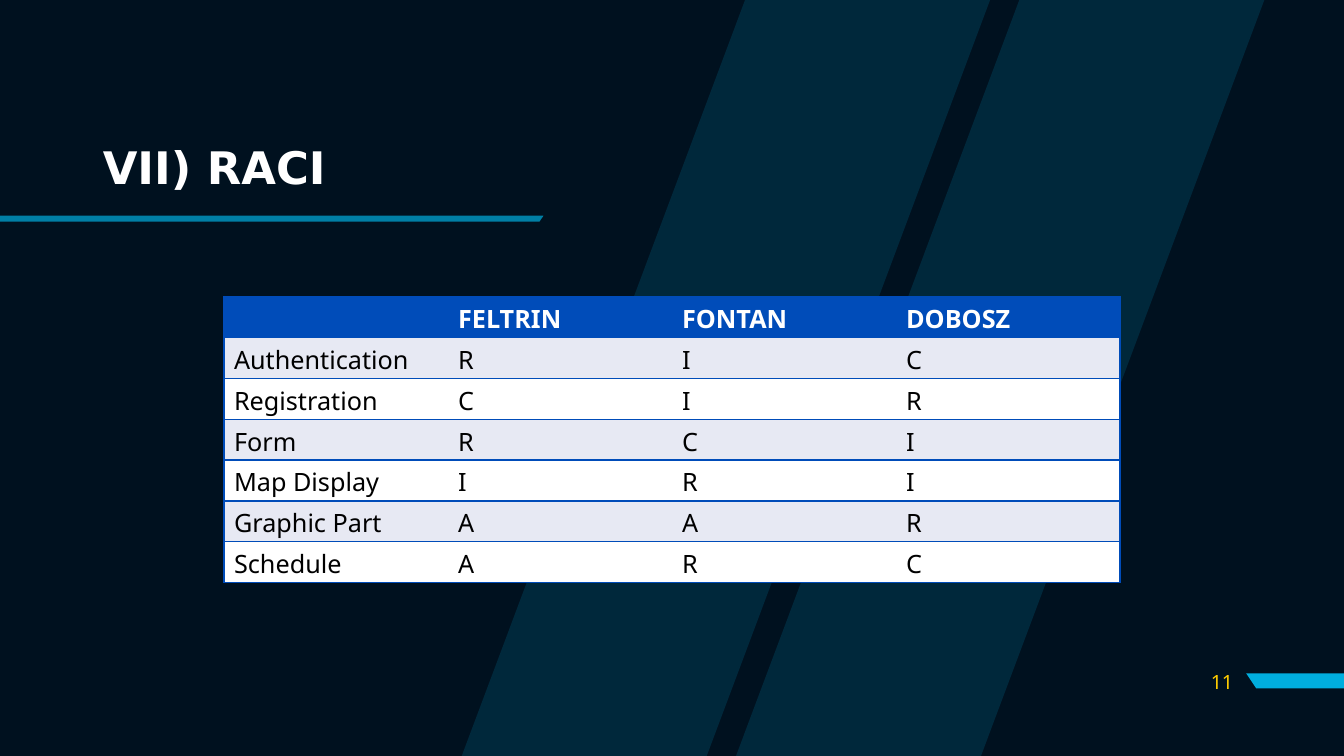
from dataclasses import dataclass

from lxml import etree
from pptx import Presentation
from pptx import util as u
from pptx.dml.color import RGBColor
from pptx.enum import text
from pptx.oxml.ns import qn

WIDTH, HEIGHT = u.Inches(13.33), u.Inches(7.5)
NAVY, CYAN, BLUE, YELLOW = "00111F", "00AEDE", "004CB9", "FFCD00"
WHITE, BLACK, BAND = "FFFFFF", "000000", "E7E9F3"
BODY_FONT, TITLE_FONT = "Noto Sans", "DejaVu Sans"

RACI = [
    ["", "FELTRIN", "FONTAN", "DOBOSZ"],
    ["Authentication", "R", "I", "C"],
    ["Registration", "C", "I", "R"],
    ["Form", "R", "C", "I"],
    ["Map Display", "I", "R", "I"],
    ["Graphic Part", "A", "A", "R"],
    ["Schedule", "A", "R", "C"],
]


@dataclass(frozen=True)
class Slant:
    """Four-sided band: left and right ends of its top and bottom edges, in inches."""
    top: float
    bottom: float
    top_ends: tuple[float, float]
    bottom_ends: tuple[float, float]
    opacity: int


SLANTS = [
    Slant(0, 7.5, (10.11, 12.54), (7.3, 9.73), 15),
    Slant(0, 7.5, (7.39, 9.82), (4.58, 7.01), 15),
    Slant(6.68, 6.83, (12.36, 13.33), (12.46, 13.33), 100),
    Slant(2.14, 2.2, (0, 5.39), (0, 5.35), 70),
]


def color(value: str) -> RGBColor:
    return RGBColor.from_string(value)


def share(left: float, top: float, width: float, height: float) -> list[int]:
    """Turn shares of the slide into lengths."""
    return [round(part * whole) for part, whole
            in zip((left, top, width, height), (WIDTH, HEIGHT) * 2)]


def apply(target, values: dict) -> None:
    for name, value in values.items():
        setattr(target, name, value)


def write(paragraph, words: str, hex_color: str, size: int,
          bold: bool = False, font: str = BODY_FONT) -> None:
    run = paragraph.add_run()
    run.text = words
    apply(run.font, {"name": font, "size": u.Pt(size), "bold": bold})
    run.font.color.rgb = color(hex_color)


def draw_slant(slide, slant: Slant) -> None:
    (top_left, top_right), (bottom_left, bottom_right) = slant.top_ends, slant.bottom_ends
    builder = slide.shapes.build_freeform(u.Inches(top_left), u.Inches(slant.top))
    builder.add_line_segments([
        (u.Inches(x), u.Inches(y)) for x, y in (
            (top_right, slant.top), (bottom_right, slant.bottom), (bottom_left, slant.bottom))
    ])
    band = builder.convert_to_shape()
    band.shadow.inherit = False
    band.line.fill.background()
    band.fill.solid()
    band.fill.fore_color.rgb = color(CYAN)
    if slant.opacity < 100:
        tint = band.fill._xPr.find(".//" + qn("a:srgbClr"))
        etree.SubElement(tint, qn("a:alpha"), val=str(slant.opacity * 1000))


def draw_borders(cell, sides: str) -> None:
    """Rule the named sides and clear the others."""
    properties = cell._tc.get_or_add_tcPr()
    for position, side in enumerate("LRTB"):
        line = etree.Element(qn(f"a:ln{side}"), w=str(u.Pt(1)))
        if side in sides:
            fill = etree.SubElement(line, qn("a:solidFill"))
            etree.SubElement(fill, qn("a:srgbClr"), val=BLUE)
        else:
            etree.SubElement(line, qn("a:noFill"))
        properties.insert(position, line)


def draw_matrix(slide) -> None:
    rows, columns = len(RACI), len(RACI[0])
    frame = slide.shapes.add_table(rows, columns, *share(1 / 6, 0.392, 2 / 3, 0.379))
    matrix = frame.table
    apply(matrix, {"first_row": True, "horz_banding": False})
    for r, entries in enumerate(RACI):
        header = r == 0
        for c, entry in enumerate(entries):
            cell = matrix.cell(r, c)
            cell.fill.solid()
            cell.fill.fore_color.rgb = color(BLUE if header else BAND if r % 2 else WHITE)
            draw_borders(cell, "TB" + "L" * (c == 0) + "R" * (c == columns - 1))
            if entry:
                write(cell.text_frame.paragraphs[0], entry,
                      WHITE if header else BLACK, 18, bold=header)


def draw_title(slide) -> None:
    title = slide.shapes.title
    apply(title, dict(zip(("left", "top", "width", "height"),
                          share(0.069, 0.067, 0.353, 0.196))))
    apply(title.text_frame, {"vertical_anchor": text.MSO_ANCHOR.BOTTOM, "word_wrap": True,
                             "auto_size": text.MSO_AUTO_SIZE.NONE})
    heading = title.text_frame.paragraphs[0]
    apply(heading, {"alignment": text.PP_ALIGN.LEFT, "line_spacing": 0.9})
    write(heading, "VII) RACI", WHITE, 32, bold=True, font=TITLE_FONT)


def draw_page_number(slide) -> None:
    frame = slide.shapes.add_textbox(*share(0.88, 0.875, 0.045, 0.053)).text_frame
    apply(frame, {"vertical_anchor": text.MSO_ANCHOR.MIDDLE, "word_wrap": True})
    number = frame.paragraphs[0]
    number.alignment = text.PP_ALIGN.RIGHT
    write(number, "11", YELLOW, 14)


def main() -> None:
    deck = Presentation()
    apply(deck, {"slide_width": WIDTH, "slide_height": HEIGHT})
    slide = deck.slides.add_slide(deck.slide_layouts[5])

    # Background and slanted bands
    slide.background.fill.solid()
    slide.background.fill.fore_color.rgb = color(NAVY)
    for slant in SLANTS:
        draw_slant(slide, slant)

    # Content
    draw_page_number(slide)
    draw_title(slide)
    draw_matrix(slide)
    deck.save("out.pptx")


if __name__ == "__main__":
    main()
